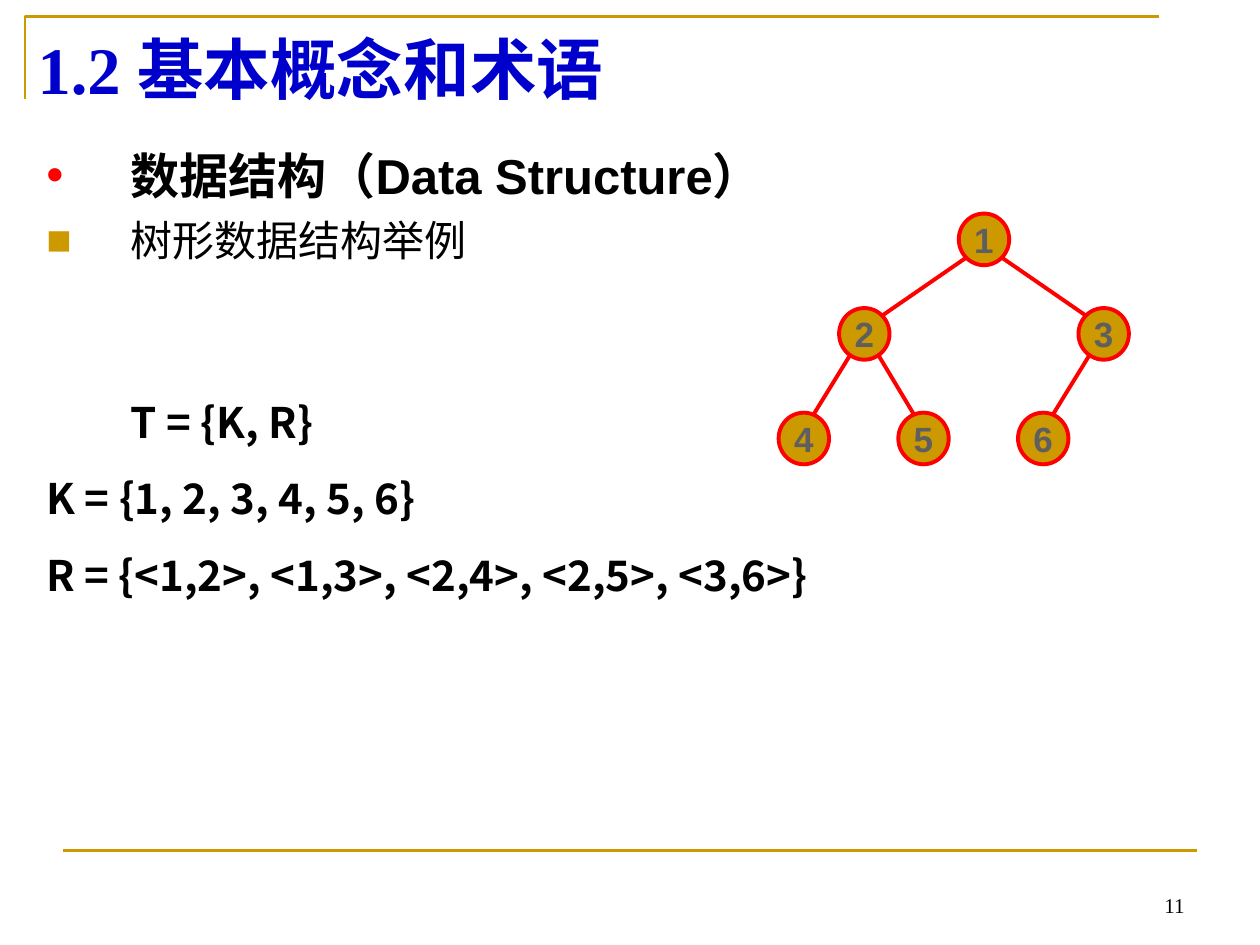
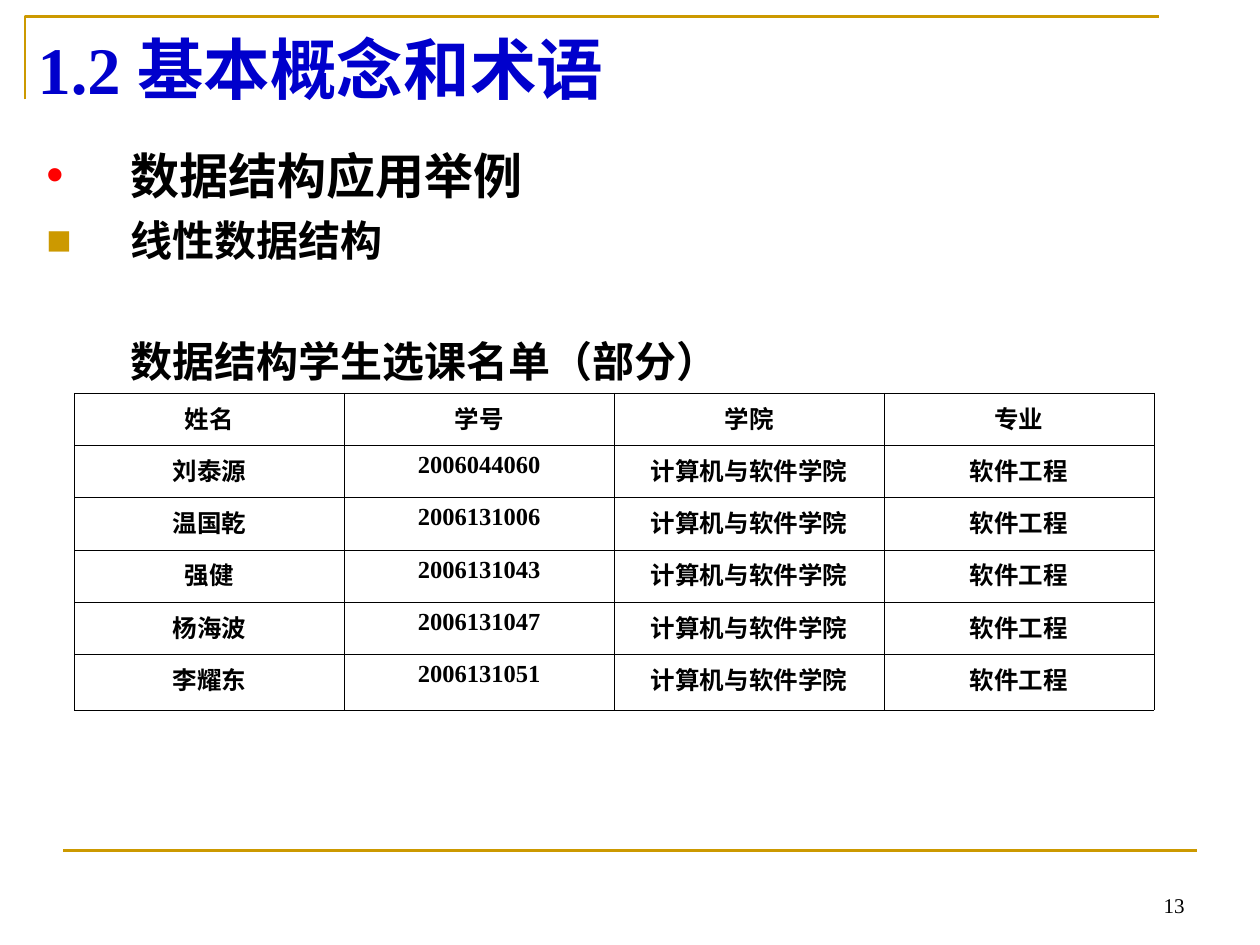
from dataclasses import dataclass
from lxml import etree
from pptx import Presentation
from pptx.dml.color import RGBColor
from pptx.enum.shapes import MSO_CONNECTOR as Connector, MSO_SHAPE as Shape
from pptx.enum.text import MSO_ANCHOR as Anchor, PP_ALIGN as Align
from pptx.oxml.ns import qn
from pptx.util import Inches, Pt


@dataclass(frozen=True)
class Theme:
    gold: str = "CC9900"
    red: str = "FF0000"
    blue: str = "0000CC"
    black: str = "000000"
    grey: str = "5F5F5F"
    serif: str = "Times New Roman"
    sans: str = "Arial"
    chinese: str = "Noto Sans CJK SC"
    title_size: float = 38
    heading_size: float = 28
    body_size: float = 24
    node_size: float = 20
    table_size: float = 14
    number_size: float = 12
    rule_width: float = 1.5
    tree_width: float = 2.25
    grid_width: float = 0.45


THEME = Theme()
TITLE = "1.2 基本概念和术语"
NODE_WIDTH, NODE_HEIGHT = 0.4, 0.41

# Tree: node centres, edges and how far the edges of each tier start
# and end from those centres
NODES = {
    "1": (7.81, 1.9),
    "2": (6.86, 2.65), "3": (8.76, 2.65),
    "4": (6.38, 3.48), "5": (7.33, 3.48), "6": (8.28, 3.48),
}
TIERS = [
    (["12", "13"], 0.12, 0.13),
    (["24", "25", "36"], 0.04, 0.05),
]

STUDENTS = [
    ("刘泰源", "2006044060"),
    ("温国乾", "2006131006"),
    ("强健", "2006131043"),
    ("杨海波", "2006131047"),
    ("李耀东", "2006131051"),
]


def rgb(color):
    return RGBColor.from_string(color)


def write(para, text, size, font, color=THEME.black, bold=True):
    para.text = text
    for span in para.runs:
        span.font.size = Pt(size)
        span.font.bold = bold
        span.font.name = font
        span.font.color.rgb = rgb(color)
        east = etree.SubElement(span.font._element, qn("a:ea"))
        east.set("typeface", THEME.chinese)


def add_text_box(page, left, top, width, height, anchor=Anchor.TOP):
    box = page.shapes.add_textbox(Inches(left), Inches(top), Inches(width), Inches(height))
    box.text_frame.word_wrap = True
    box.text_frame.vertical_anchor = anchor
    return box.text_frame


def add_line(page, start, end, color, width):
    line = page.shapes.add_connector(Connector.STRAIGHT, *map(Inches, start + end))
    line.line.color.rgb = rgb(color)
    line.line.width = Pt(width)
    etree.SubElement(line._element.spPr, qn("a:effectLst"))


def set_indent(para, indent, bullet=None, color=None):
    props = para._p.get_or_add_pPr()
    props.set("marL", str(Inches(indent)))
    props.set("indent", str(-Inches(indent) if bullet else 0))
    if not bullet:
        etree.SubElement(props, qn("a:buNone"))
        return
    paint = etree.SubElement(props, qn("a:buClr"))
    etree.SubElement(paint, qn("a:srgbClr")).set("val", color)
    etree.SubElement(props, qn("a:buFont")).set("typeface", THEME.sans)
    etree.SubElement(props, qn("a:buChar")).set("char", bullet)


def add_frame(page, number):
    # Corner rule at the top, straight rule at the bottom
    builder = page.shapes.build_freeform(Inches(0.2), Inches(0.79))
    builder.add_line_segments(
        [(Inches(0.2), Inches(0.13)), (Inches(9.2), Inches(0.13))], close=False)
    corner = builder.convert_to_shape()
    corner.shadow.inherit = False
    corner.fill.background()
    corner.line.color.rgb = rgb(THEME.gold)
    corner.line.width = Pt(THEME.rule_width)
    add_line(page, (0.5, 6.75), (9.5, 6.75), THEME.gold, THEME.rule_width)

    # Page number and title
    para = add_text_box(page, 7.17, 6.83, 2.33, 0.5, Anchor.BOTTOM).paragraphs[0]
    write(para, number, THEME.number_size, THEME.serif, bold=False)
    para.alignment = Align.RIGHT
    para = add_text_box(page, 0.2, 0.13, 9, 0.71).paragraphs[0]
    write(para, TITLE, THEME.title_size, THEME.serif, THEME.blue)
    para.line_spacing = Pt(48.7)


def add_body(page, heading, topic, topic_bold, lines):
    """Lines are (text, indent in inches, space before in points)."""
    frame = add_text_box(page, 0.27, 1.07, 7.09, 4.88)
    para = frame.paragraphs[0]
    set_indent(para, 0.67, "•", THEME.red)
    write(para, heading, THEME.heading_size, THEME.sans)
    para.line_spacing = Pt(36)

    para = frame.add_paragraph()
    set_indent(para, 0.67, "■", THEME.gold)
    write(para, topic, THEME.body_size, THEME.chinese, bold=topic_bold)
    para.line_spacing, para.space_before = Pt(28.7), Pt(6)

    for text, indent, space in lines:
        para = frame.add_paragraph()
        set_indent(para, indent)
        write(para, text, THEME.body_size, THEME.chinese)
        para.line_spacing, para.space_before = Pt(28.7), Pt(space)


def add_node(page, label, center):
    x, y = center
    node = page.shapes.add_shape(
        Shape.OVAL, Inches(x - NODE_WIDTH / 2), Inches(y - NODE_HEIGHT / 2),
        Inches(NODE_WIDTH), Inches(NODE_HEIGHT))
    node.shadow.inherit = False
    node.fill.solid()
    node.fill.fore_color.rgb = rgb(THEME.gold)
    node.line.color.rgb = rgb(THEME.red)
    node.line.width = Pt(THEME.tree_width)
    frame = node.text_frame
    frame.margin_left = frame.margin_right = frame.margin_top = frame.margin_bottom = 0
    frame.word_wrap = False
    frame.vertical_anchor = Anchor.MIDDLE
    write(frame.paragraphs[0], label, THEME.node_size, THEME.sans, THEME.grey)
    frame.paragraphs[0].alignment = Align.CENTER


def add_tree(page):
    for edges, shift, drop in TIERS:
        for parent, child in edges:
            (x1, y1), (x2, y2) = NODES[parent], NODES[child]
            side = shift if x2 > x1 else -shift
            add_line(page, (x1 + side, y1 + drop), (x2 - side, y2 - 0.13),
                     THEME.red, THEME.tree_width)
    for label, center in NODES.items():
        add_node(page, label, center)


def set_borders(cell):
    props = cell._tc.get_or_add_tcPr()
    for index, side in enumerate(("a:lnL", "a:lnR", "a:lnT", "a:lnB")):
        border = etree.Element(qn(side), w=str(Pt(THEME.grid_width)))
        fill = etree.SubElement(border, qn("a:solidFill"))
        etree.SubElement(fill, qn("a:srgbClr")).set("val", THEME.black)
        props.insert(index, border)


def add_roster(page):
    rows = [("姓名", "学号", "学院", "专业")]
    rows += [student + ("计算机与软件学院", "软件工程") for student in STUDENTS]
    table = page.shapes.add_table(
        len(rows), len(rows[0]), Inches(0.59), Inches(3.12),
        Inches(8.57), Inches(2.52)).table
    table.first_row = table.horz_banding = False
    for row in table.rows:
        row.height = Inches(0.415)
    table.rows[len(rows) - 1].height = Inches(0.44)
    for cell, text in zip(table.iter_cells(), sum(rows, ())):
        cell.fill.background()
        set_borders(cell)
        para = cell.text_frame.paragraphs[0]
        write(para, text, THEME.table_size, THEME.serif)
        para.alignment = Align.CENTER


def main():
    deck = Presentation()
    deck.slide_width, deck.slide_height = Inches(10), Inches(7.5)
    blank = deck.slide_layouts[6]

    # Tree structure
    page = deck.slides.add_slide(blank)
    add_frame(page, "11")
    add_body(page, "数据结构（Data Structure）", "树形数据结构举例", False, [
        ("T = {K, R}", 0.67, 75.4),
        ("K = {1, 2, 3, 4, 5, 6}", 0, 15),
        ("R = {<1,2>, <1,3>, <2,4>, <2,5>, <3,6>}", 0, 15),
    ])
    add_tree(page)

    # Linear structure
    page = deck.slides.add_slide(blank)
    add_frame(page, "13")
    add_body(page, "数据结构应用举例", "线性数据结构", True, [
        ("数据结构学生选课名单（部分）", 0.67, 40.7),
    ])
    add_roster(page)

    deck.save("out.pptx")


if __name__ == "__main__":
    main()
